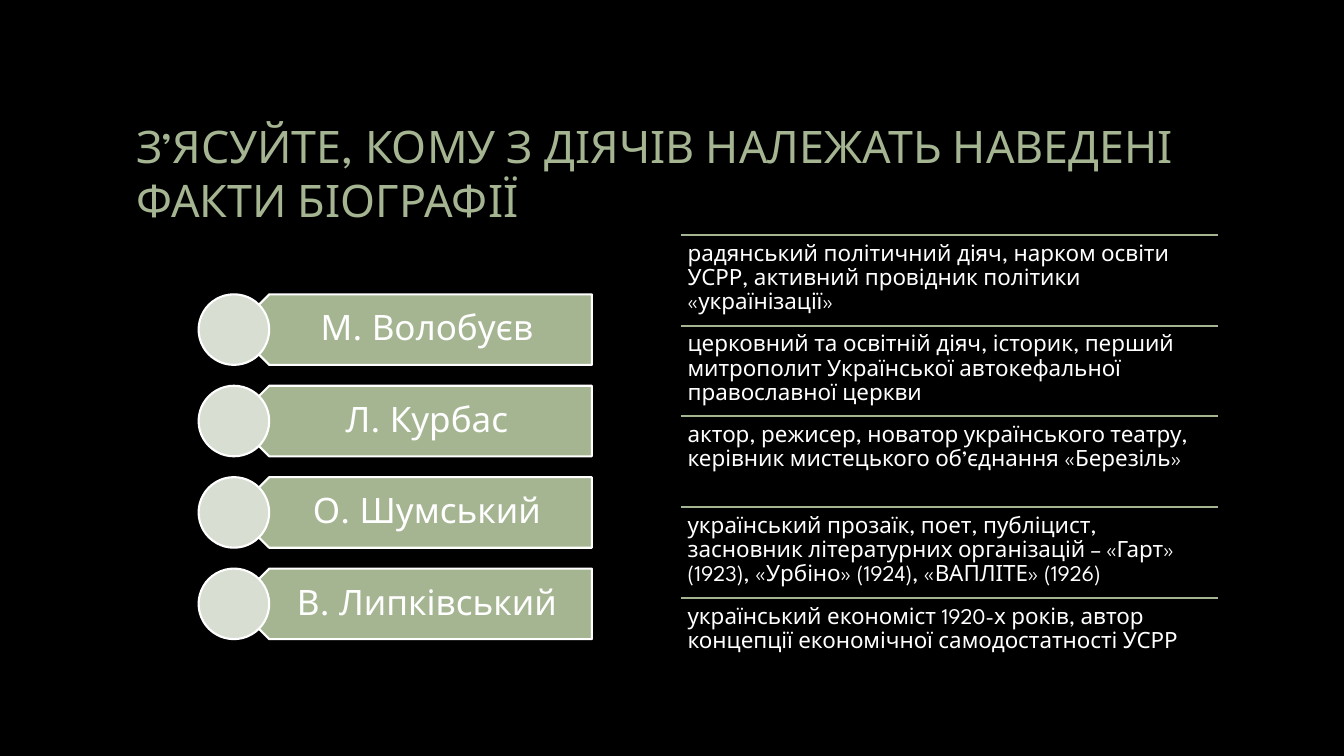
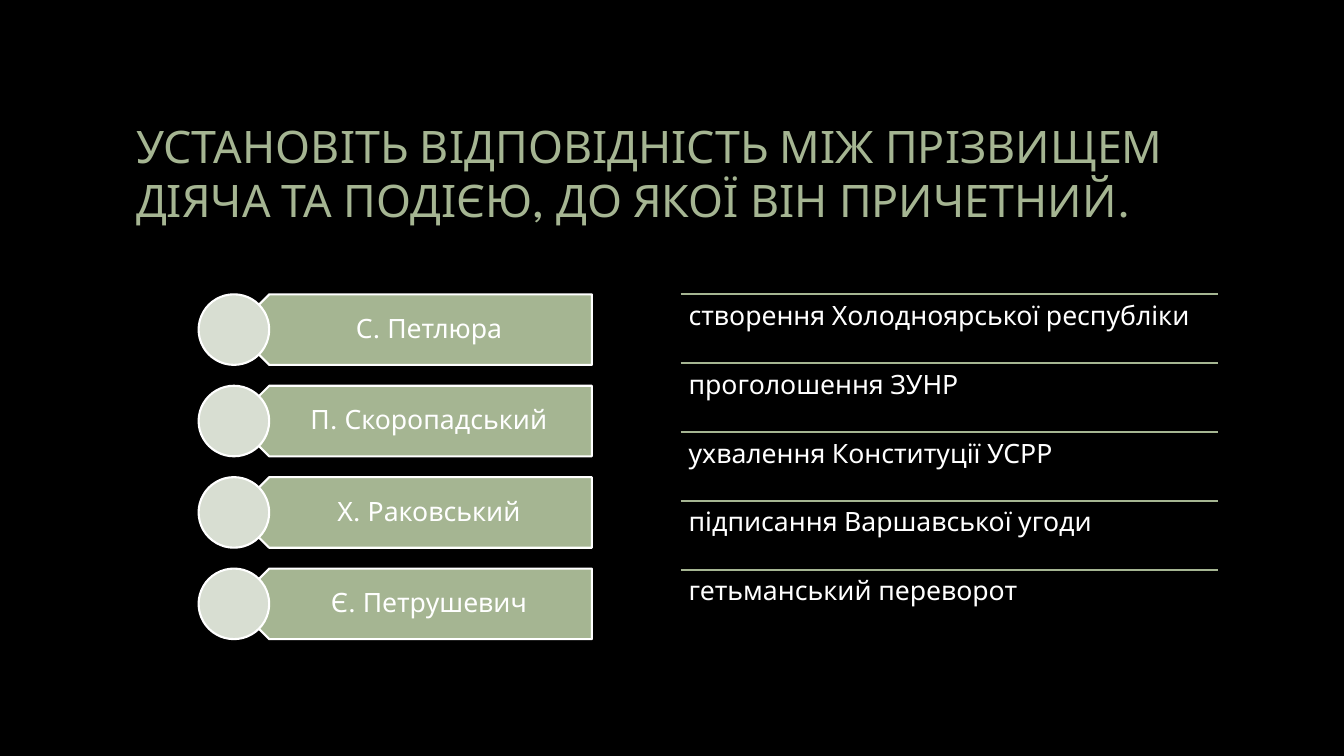
from dataclasses import dataclass

from lxml import etree
from pptx import Presentation
from pptx.dml.color import RGBColor
from pptx.enum import shapes, text
from pptx.oxml import ns
from pptx.util import Inches, Pt

FONT = "League Spartan"
COLORS = {
    "background": "000000",
    "sage": "A5B592",
    "pale": "D8DED2",
    "white": "FFFFFF",
}
LINE_WIDTH = Pt(1.5)

# Left column: name plates with a circle at the pointed end
PLATE_LEFT, PLATE_TOP, PLATE_WIDTH = 2.32, 2.92, 3.55
PLATE_HEIGHT, PLATE_PITCH = 0.7, 0.907
LABEL_LEFT, LABEL_WIDTH = 2.49, 3.37
CIRCLE_LEFT = PLATE_LEFT - PLATE_HEIGHT / 2

# Right column: ruled facts
FACT_LEFT, FACT_WIDTH = 6.75, 5.33


@dataclass(frozen=True)
class TextStyle:
    size: int
    insets: tuple[float, float, float, float]  # left, top, right, bottom
    align: text.PP_ALIGN = text.PP_ALIGN.LEFT
    anchor: text.MSO_ANCHOR = text.MSO_ANCHOR.TOP


@dataclass(frozen=True)
class MatchingTask:
    title: str
    names: list[str]
    name_style: TextStyle
    facts: list[str]
    fact_style: TextStyle
    fact_top: float
    fact_pitch: float


def name_style(size: int, inset: float, right: float) -> TextStyle:
    return TextStyle(size, (0.31, inset, right, inset),
                     text.PP_ALIGN.CENTER, text.MSO_ANCHOR.MIDDLE)


TASKS = [
    MatchingTask(
        title="З’ЯСУЙТЕ, КОМУ З ДІЯЧІВ НАЛЕЖАТЬ НАВЕДЕНІ ФАКТИ БІОГРАФІЇ",
        names=["М. Волобуєв", "Л. Курбас", "О. Шумський", "В. Липківський"],
        name_style=name_style(25, 0.1, 0.19),
        facts=[
            "радянський політичний діяч, нарком освіти УСРР, "
            "активний провідник політики «українізації»",
            "церковний та освітній діяч, історик, перший митрополит "
            "Української автокефальної православної церкви",
            "актор, режисер, новатор українського театру, "
            "керівник мистецького об’єднання «Березіль»",
            "український прозаїк, поет, публіцист, засновник літературних "
            "організацій – «Гарт» (1923), «Урбіно» (1924), «ВАПЛІТЕ» (1926)",
            "український економіст 1920-х років, автор концепції "
            "економічної самодостатності УСРР",
        ],
        fact_style=TextStyle(16, (0.07,) * 4),
        fact_top=2.33,
        fact_pitch=0.9,
    ),
    MatchingTask(
        title="УСТАНОВІТЬ ВІДПОВІДНІСТЬ МІЖ ПРІЗВИЩЕМ ДІЯЧА ТА ПОДІЄЮ, "
              "ДО ЯКОЇ ВІН ПРИЧЕТНИЙ.",
        names=["С. Петлюра", "П. Скоропадський", "Х. Раковський", "Є. Петрушевич"],
        name_style=name_style(19, 0.08, 0.15),
        facts=[
            "створення Холодноярської республіки",
            "проголошення ЗУНР",
            "ухвалення Конституції УСРР",
            "підписання Варшавської угоди",
            "гетьманський переворот",
        ],
        fact_style=TextStyle(19, (0.08,) * 4),
        fact_top=2.92,
        fact_pitch=0.683,
    ),
]


def color(name: str) -> RGBColor:
    return RGBColor.from_string(COLORS[name])


def add_span(para, words: str, size: int, color_name: str) -> None:
    span = para.add_run()
    span.text = words
    span.font.name = FONT
    span.font.size = Pt(size)
    span.font.color.rgb = color(color_name)


def set_title(page, words: str) -> None:
    title = page.shapes.title
    title.left, title.top = Inches(1.25), Inches(0.67)
    title.width, title.height = Inches(10.83), Inches(2.08)
    frame = title.text_frame
    frame.auto_size = text.MSO_AUTO_SIZE.NONE
    frame.word_wrap = True
    frame.vertical_anchor = text.MSO_ANCHOR.MIDDLE
    para = frame.paragraphs[0]
    para.alignment = text.PP_ALIGN.LEFT
    add_span(para, words, 32, "sage")


def add_text(page, words: str, left: float, top: float, width: float,
             height: float, style: TextStyle) -> None:
    box = page.shapes.add_textbox(Inches(left), Inches(top),
                                  Inches(width), Inches(height))
    frame = box.text_frame
    frame.word_wrap = True
    frame.vertical_anchor = style.anchor
    (frame.margin_left, frame.margin_top,
     frame.margin_right, frame.margin_bottom) = map(Inches, style.insets)
    para = frame.paragraphs[0]
    para.alignment = style.align
    para.line_spacing = 0.9
    add_span(para, words, style.size, "white")


def add_outlined(page, kind: shapes.MSO_SHAPE, left: float, top: float,
                 width: float, fill: str):
    shape = page.shapes.add_shape(kind, Inches(left), Inches(top),
                                  Inches(width), Inches(PLATE_HEIGHT))
    shape.shadow.inherit = False
    shape.fill.solid()
    shape.fill.fore_color.rgb = color(fill)
    shape.line.color.rgb = color("white")
    shape.line.width = LINE_WIDTH
    return shape


def add_name(page, name: str, top: float, style: TextStyle) -> None:
    plate = add_outlined(page, shapes.MSO_SHAPE.PENTAGON,
                         PLATE_LEFT, top, PLATE_WIDTH, "sage")
    plate.rotation = 180
    add_text(page, name, LABEL_LEFT, top, LABEL_WIDTH, PLATE_HEIGHT, style)
    add_outlined(page, shapes.MSO_SHAPE.OVAL,
                 CIRCLE_LEFT, top, PLATE_HEIGHT, "pale")


def add_fact(page, fact: str, top: float, height: float, style: TextStyle) -> None:
    rule = page.shapes.add_connector(
        shapes.MSO_CONNECTOR.STRAIGHT, Inches(FACT_LEFT), Inches(top),
        Inches(FACT_LEFT + FACT_WIDTH), Inches(top))
    rule.line.color.rgb = color("sage")
    rule.line.width = LINE_WIDTH
    etree.SubElement(rule._element.spPr, ns.qn("a:effectLst"))
    add_text(page, fact, FACT_LEFT, top, FACT_WIDTH, height, style)


def add_task(deck, task: MatchingTask) -> None:
    page = deck.slides.add_slide(deck.slide_layouts.get_by_name("Title Only"))
    set_title(page, task.title)
    for row, name in enumerate(task.names):
        add_name(page, name, PLATE_TOP + row * PLATE_PITCH, task.name_style)
    for row, fact in enumerate(task.facts):
        add_fact(page, fact, task.fact_top + row * task.fact_pitch,
                 task.fact_pitch, task.fact_style)


def main() -> None:
    deck = Presentation()
    deck.slide_width, deck.slide_height = Inches(13.33), Inches(7.5)
    # Shared black background
    backdrop = deck.slide_master.background.fill
    backdrop.solid()
    backdrop.fore_color.rgb = color("background")
    for task in TASKS:
        add_task(deck, task)
    deck.save("out.pptx")


if __name__ == "__main__":
    main()
